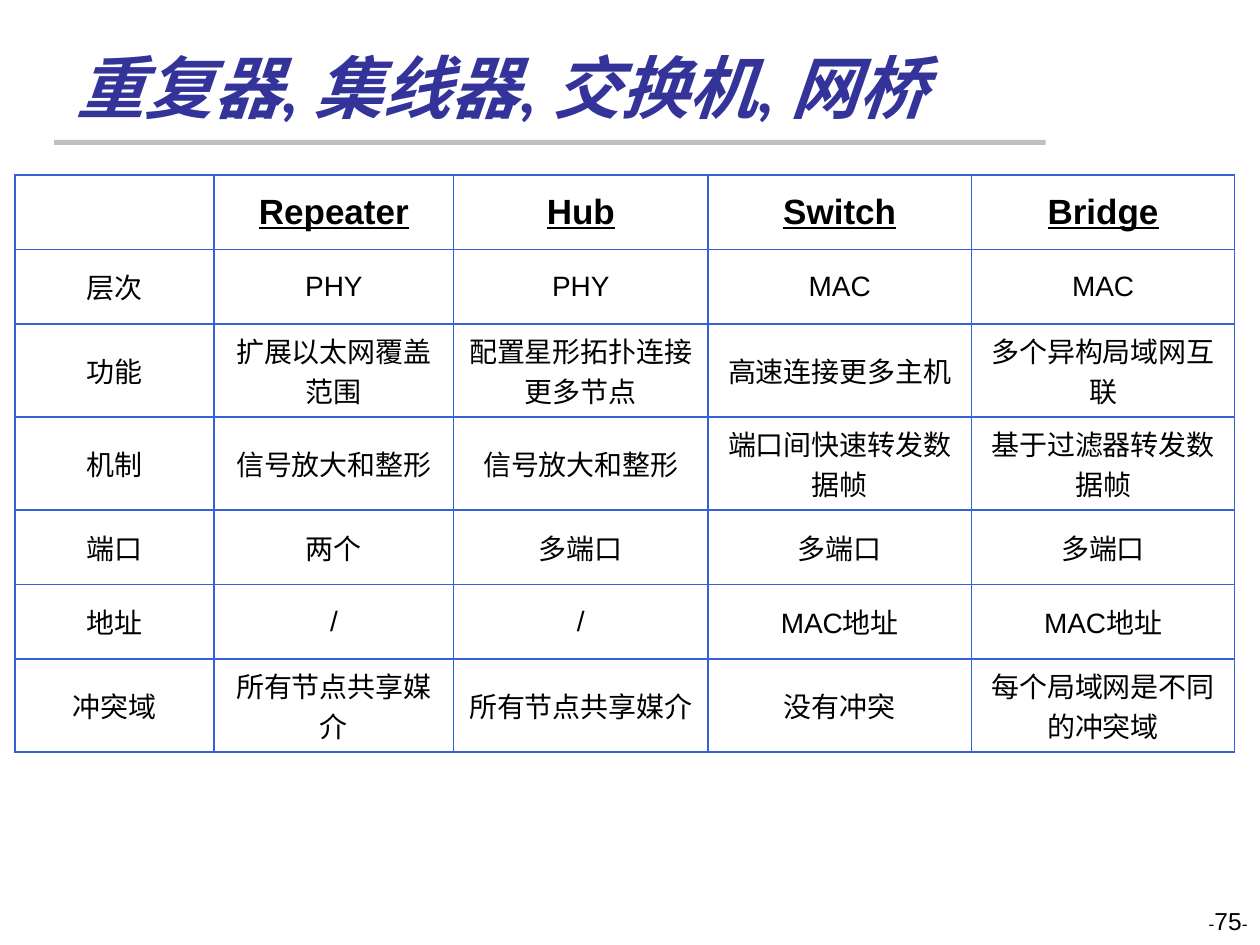
from lxml.etree import SubElement
from pptx import Presentation
from pptx.dml.color import RGBColor as Rgb
from pptx.enum.shapes import MSO_SHAPE as Kind
from pptx.enum.text import MSO_ANCHOR as Anchor, PP_ALIGN as Align
from pptx.oxml.ns import qn
from pptx.util import Inches, Pt


class Theme:
    title = Rgb(0x33, 0x33, 0x99)
    rule = Rgb(0xBF, 0xBF, 0xBF)
    grid = "3261DA"
    ink = Rgb(0, 0, 0)
    head_font, body_font = "Calibri", "Arial"
    title_size, head_size, body_size = Pt(39), Pt(20), Pt(16)
    page_size, dash_size = Pt(14), Pt(10)


WIDTHS = [1.58, 1.9, 2.02, 2.09, 2.09]
ONE, TWO = 0.59, 0.74  # row heights for one and two lines of text
HEIGHTS = [ONE, ONE, TWO, TWO, ONE, ONE, TWO]
ROWS = [
    ["", "Repeater", "Hub", "Switch", "Bridge"],
    ["层次", "PHY", "PHY", "MAC", "MAC"],
    ["功能", "扩展以太网覆盖范围", "配置星形拓扑连接更多节点",
     "高速连接更多主机", "多个异构局域网互联"],
    ["机制", "信号放大和整形", "信号放大和整形",
     "端口间快速转发数据帧", "基于过滤器转发数据帧"],
    ["端口", "两个", "多端口", "多端口", "多端口"],
    ["地址", "/", "/", "MAC地址", "MAC地址"],
    ["冲突域", "所有节点共享媒介", "所有节点共享媒介",
     "没有冲突", "每个局域网是不同的冲突域"],
]


def set_font(font, name, size, color, bold=False):
    font.name, font.size, font.bold = name, size, bold
    font.color.rgb = color


def add_text(slide, x, y, w, h):
    box = slide.shapes.add_textbox(Inches(x), Inches(y), Inches(w), Inches(h))
    box.text_frame.word_wrap = True
    return box.text_frame


def add_title(slide, x, y, w, h):
    # Grey rule under the heading
    rule = slide.shapes.add_shape(
        Kind.RECTANGLE, Inches(x), Inches(y + h - 0.04), Inches(w), Inches(0.04))
    rule.shadow.inherit = False
    rule.fill.solid()
    rule.fill.fore_color.rgb = Theme.rule
    rule.line.fill.background()

    # Heading
    frame = add_text(slide, x + 0.08, y, w + 0.38, h - 0.09)
    frame.vertical_anchor = Anchor.BOTTOM
    para = frame.paragraphs[0]
    para.text = "重复器, 集线器, 交换机, 网桥"
    set_font(para.font, Theme.head_font, Theme.title_size, Theme.title, True)
    para.font.italic = True


def add_edges(cell):
    props = cell._tc.get_or_add_tcPr()
    for side in ("lnL", "lnR", "lnT", "lnB"):
        line = SubElement(props, qn(f"a:{side}"), w=str(Pt(1)))
        fill = SubElement(line, qn("a:solidFill"))
        SubElement(fill, qn("a:srgbClr"), val=Theme.grid)


def fill_cell(cell, text, head):
    add_edges(cell)
    cell.fill.background()
    cell.vertical_anchor = Anchor.MIDDLE
    para = cell.text_frame.paragraphs[0]
    para.text = text
    para.alignment = Align.CENTER
    size = Theme.head_size if head else Theme.body_size
    set_font(para.font, Theme.body_font, size, Theme.ink, head)
    para.font.underline = head


def add_grid(slide, x, y):
    table = slide.shapes.add_table(
        len(ROWS), len(WIDTHS), Inches(x), Inches(y),
        Inches(sum(WIDTHS)), Inches(sum(HEIGHTS))).table
    table.first_row = table.horz_banding = False
    for col, width in zip(table.columns, WIDTHS):
        col.width = Inches(width)
    for r, (row, height) in enumerate(zip(table.rows, HEIGHTS)):
        row.height = Inches(height)
        for cell, text in zip(row.cells, ROWS[r]):
            fill_cell(cell, text, r == 0)


def add_page(slide, x, y, w, h):
    para = add_text(slide, x, y, w, h).paragraphs[0]
    para.alignment = Align.RIGHT
    for text, size in (("-", Theme.dash_size), ("75", Theme.page_size),
                       ("-", Theme.dash_size)):
        run = para.add_run()
        run.text = text
        set_font(run.font, Theme.body_font, size, Theme.ink)


def main():
    deck = Presentation()
    deck.slide_width, deck.slide_height = Inches(10), Inches(7.5)
    slide = deck.slides.add_slide(deck.slide_layouts[6])
    add_title(slide, 0.43, 0.28, 7.87, 0.87)
    add_grid(slide, 0.12, 1.39)
    add_page(slide, 7.67, 7.14, 2.33, 0.5)
    deck.save("out.pptx")


if __name__ == "__main__":
    main()
